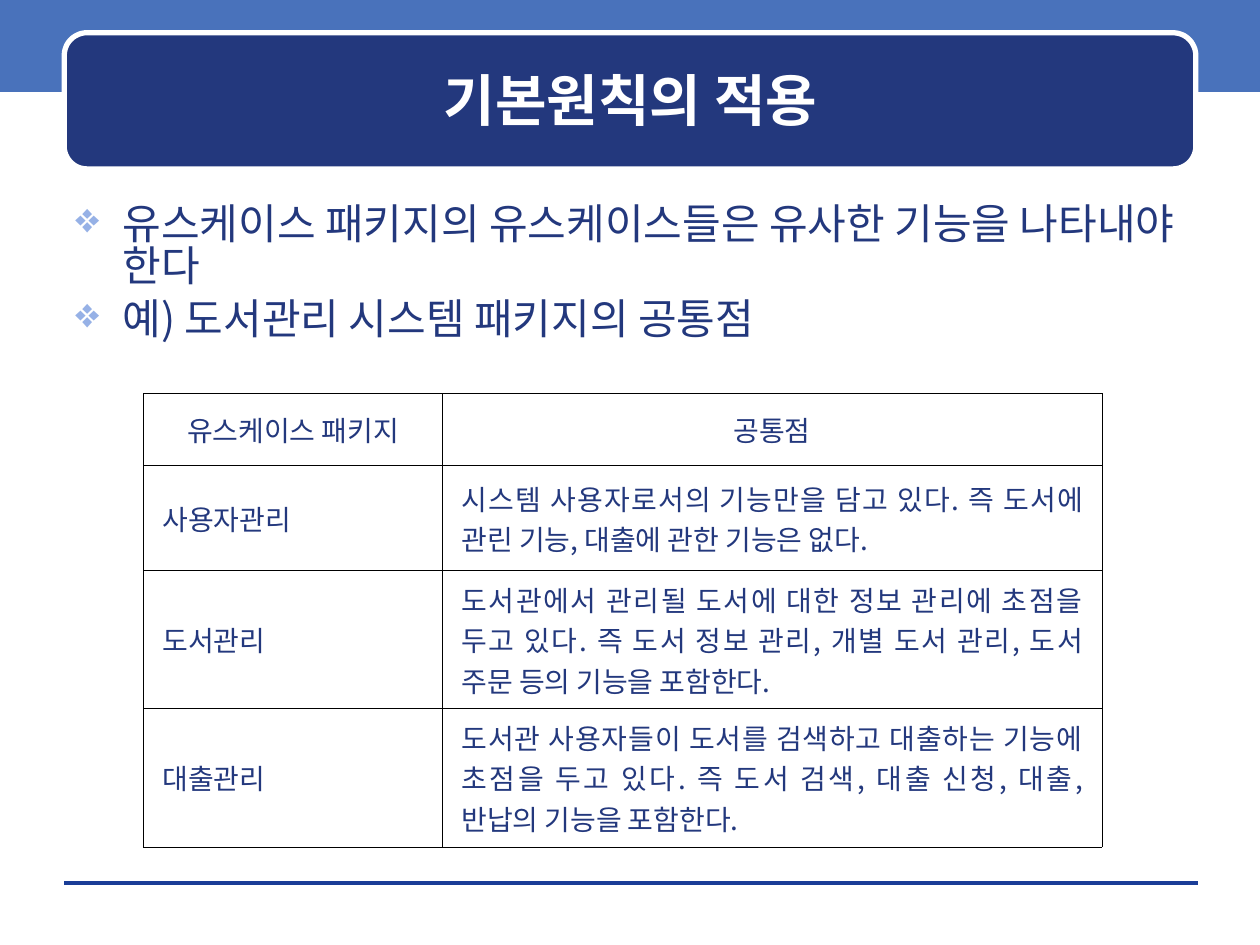
from dataclasses import dataclass

from lxml.etree import SubElement
from pptx import Presentation
from pptx.dml.color import RGBColor
from pptx.enum.shapes import MSO_CONNECTOR, MSO_SHAPE
from pptx.enum.text import MSO_ANCHOR, PP_ALIGN
from pptx.oxml.ns import qn
from pptx.util import Pt

FONT = "Noto Sans CJK KR"
NAVY, BLUE, PALE, WHITE = "23387D", "4972BB", "96B1E6", "FFFFFF"
HEAD = ("유스케이스 패키지", "공통점")
ROWS = (
    ("사용자관리", "시스템 사용자로서의 기능만을 담고 있다. 즉 도서에 관린 기능, 대출에 관한 기능은 없다."),
    ("도서관리", "도서관에서 관리될 도서에 대한 정보 관리에 초점을 두고 있다. "
     "즉 도서 정보 관리, 개별 도서 관리, 도서 주문 등의 기능을 포함한다."),
    ("대출관리", "도서관 사용자들이 도서를 검색하고 대출하는 기능에 초점을 두고 있다. "
     "즉 도서 검색, 대출 신청, 대출, 반납의 기능을 포함한다."),
)
POINTS = ("유스케이스 패키지의 유스케이스들은 유사한 기능을 나타내야 한다", "예) 도서관리 시스템 패키지의 공통점")
WIDTHS = (170.8, 376.8)
HEIGHTS = (41, 60, 79, 79)


@dataclass
class Box:
    """A rectangle in points."""
    left: float
    top: float
    width: float
    height: float

    def place(self) -> tuple:
        """Return the four lengths."""
        return Pt(self.left), Pt(self.top), Pt(self.width), Pt(self.height)


@dataclass
class Panel:
    """A filled shape of the frame."""
    kind: MSO_SHAPE
    box: Box
    fill: str
    edge: float = 0


PANELS = (
    Panel(MSO_SHAPE.RECTANGLE, Box(0, -2, 720, 54.6), BLUE),
    Panel(MSO_SHAPE.ROUNDED_RECTANGLE, Box(36.7, 18.7, 646.6, 77.8), NAVY, 3),
)


def color(code: str) -> RGBColor:
    """Turn a hex string into a colour."""
    return RGBColor.from_string(code)


def style(para, size: float, code: str, bold: bool = False) -> None:
    """Format every run of a paragraph."""
    for run in para.runs:
        font = run.font
        font.size, font.bold, font.name = Pt(size), bold, FONT
        font.color.rgb = color(code)
        SubElement(font._element, qn("a:ea"), typeface=FONT)


def bullet(para, indent: float) -> None:
    """Give a paragraph a hanging diamond bullet."""
    props = para._p.get_or_add_pPr()
    props.set("marL", str(Pt(indent)))
    props.set("indent", str(Pt(-indent)))
    tint = SubElement(props, qn("a:buClr"))
    SubElement(tint, qn("a:srgbClr"), val=PALE)
    SubElement(props, qn("a:buChar"), char="❖")


def border(cell, width: float) -> None:
    """Draw black lines on all sides of a cell."""
    props = cell._tc.get_or_add_tcPr()
    for at, side in enumerate(("lnL", "lnR", "lnT", "lnB")):
        line = props.makeelement(qn(f"a:{side}"), {"w": str(Pt(width))})
        fill = SubElement(line, qn("a:solidFill"))
        SubElement(fill, qn("a:srgbClr"), val="000000")
        props.insert(at, line)


def panel(slide, item: Panel) -> None:
    """Draw one panel."""
    shape = slide.shapes.add_shape(item.kind, *item.box.place())
    shape.shadow.inherit = False
    shape.fill.solid()
    shape.fill.fore_color.rgb = color(item.fill)
    if item.edge:
        shape.line.color.rgb = color(WHITE)
        shape.line.width = Pt(item.edge)
    else:
        shape.line.fill.background()


def rule(slide, left: float, right: float, top: float) -> None:
    """Draw the hairline at the foot."""
    line = slide.shapes.add_connector(
        MSO_CONNECTOR.STRAIGHT, Pt(left), Pt(top), Pt(right), Pt(top))
    line.line.color.rgb = color("1A3D97")
    line.line.width = Pt(0)
    SubElement(line._element.spPr, qn("a:effectLst"))


def title(slide, box: Box, text: str) -> None:
    """Write the slide title."""
    frame = slide.shapes.add_textbox(*box.place()).text_frame
    frame.word_wrap = True
    frame.vertical_anchor = MSO_ANCHOR.MIDDLE
    frame.text = text
    para = frame.paragraphs[0]
    para.alignment = PP_ALIGN.CENTER
    style(para, 32, WHITE, True)


def body(slide, box: Box, lines: tuple) -> None:
    """Write the bullet list."""
    frame = slide.shapes.add_textbox(*box.place()).text_frame
    frame.word_wrap = True
    frame.text = "\n".join(lines)
    for at, para in enumerate(frame.paragraphs):
        bullet(para, 27)
        para.line_spacing = 0.84
        para.space_before = Pt(6 if at else 0)
        style(para, 24, NAVY)


def grid(slide, box: Box, rows: tuple) -> None:
    """Draw the table of packages."""
    table = slide.shapes.add_table(len(rows), len(WIDTHS), *box.place()).table
    table.first_row = table.horz_banding = False
    for col, width in zip(table.columns, WIDTHS):
        col.width = Pt(width)
    for at, (row, height) in enumerate(zip(table.rows, HEIGHTS)):
        row.height = Pt(height)
        for cell, text in zip(row.cells, rows[at]):
            cell.text_frame.text = text
            cell.fill.background()
            cell.vertical_anchor = MSO_ANCHOR.MIDDLE
            cell.margin_left = cell.margin_right = Pt(10.8)
            cell.margin_top = cell.margin_bottom = Pt(3.6)
            border(cell, 0.45)
            para = cell.text_frame.paragraphs[0]
            para.alignment = PP_ALIGN.JUSTIFY if at else PP_ALIGN.CENTER
            style(para, 16, NAVY)


def main() -> None:
    """Build and save the slide."""
    deck = Presentation()
    deck.slide_width, deck.slide_height = Pt(720), Pt(540)
    slide = deck.slides.add_slide(deck.slide_layouts[6])
    panel(slide, PANELS[0])
    rule(slide, 36.7, 684.7, 504.7)
    panel(slide, PANELS[1])
    title(slide, Box(43.2, 25.2, 634.3, 63.4), "기본원칙의 적용")
    body(slide, Box(36, 113.8, 648, 383.8), POINTS)
    grid(slide, Box(82.1, 225, sum(WIDTHS), sum(HEIGHTS)), (HEAD, *ROWS))
    deck.save("out.pptx")


if __name__ == "__main__":
    main()
